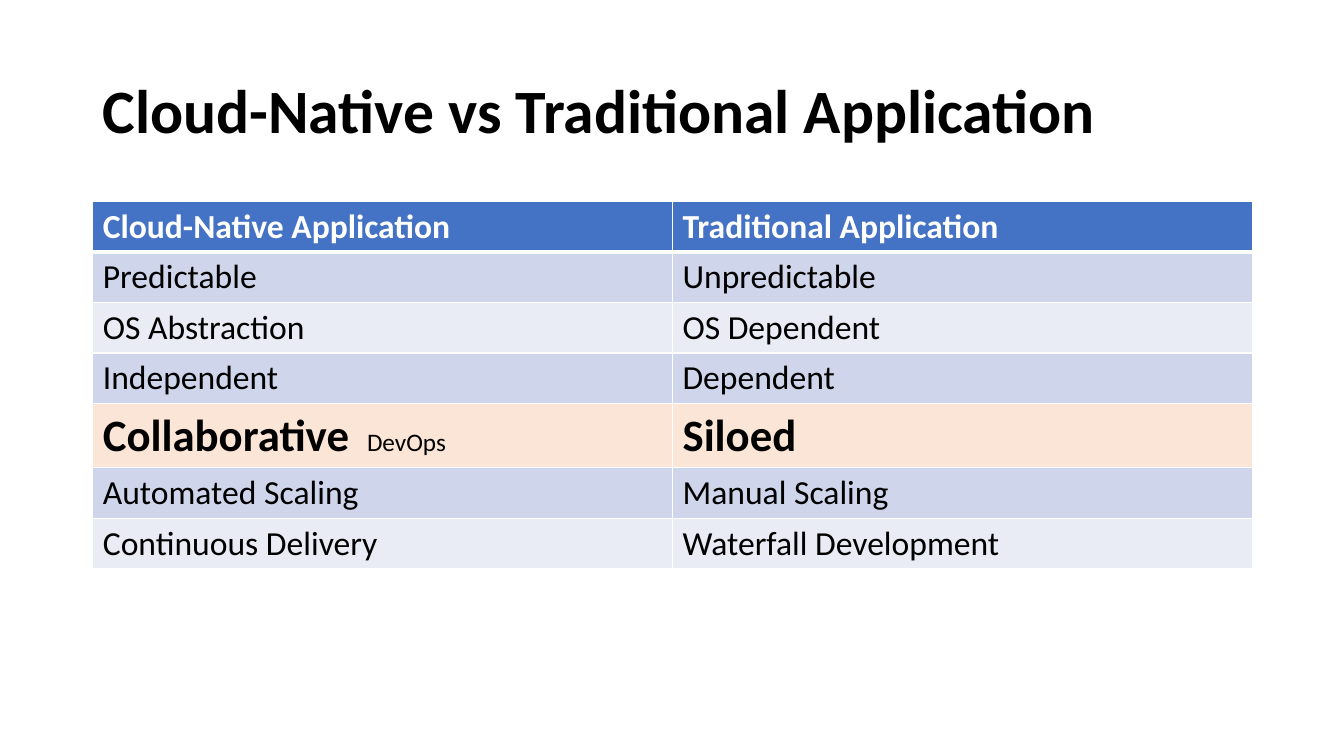
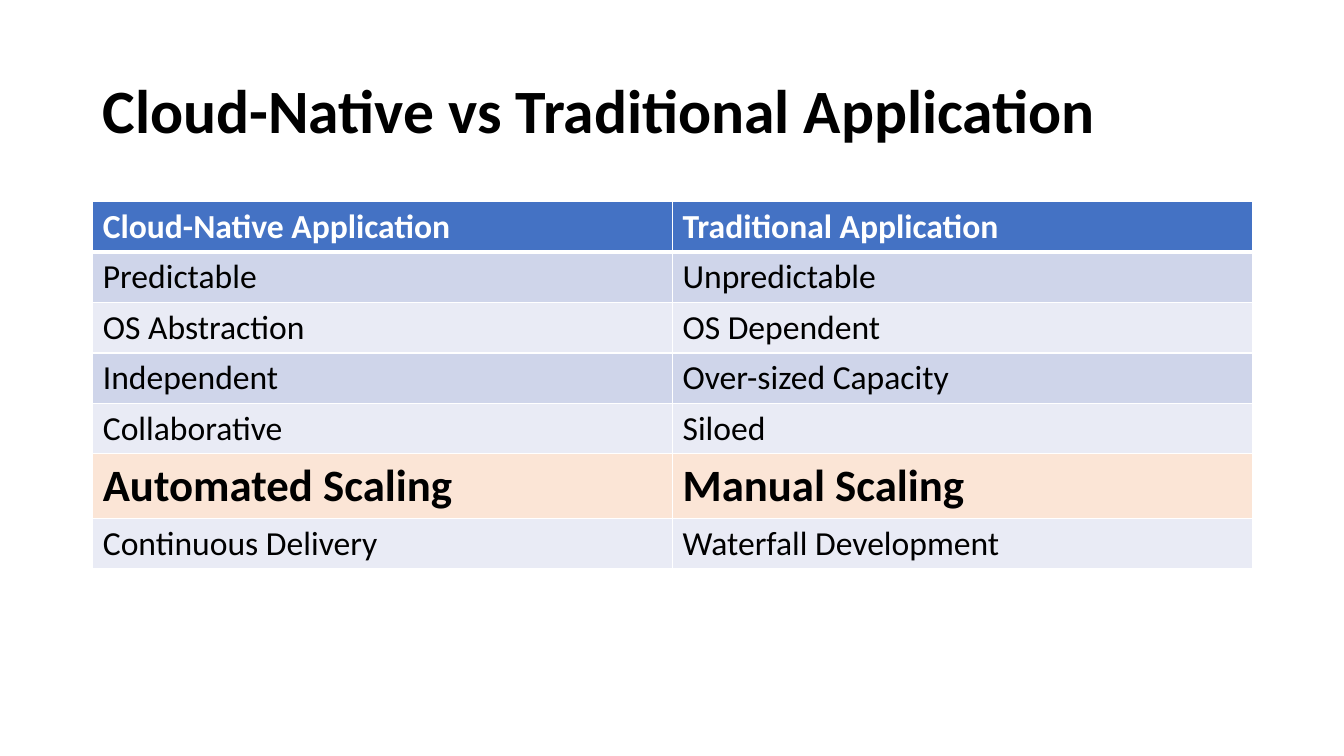
import pptx
import pptx.util
import pptx.dml.color
import pptx.enum.text
import pptx.oxml
import pptx.oxml.ns
from pptx.util import Inches

FONT = "Calibri"
BLACK, WHITE = "000000", "FFFFFF"
HEADER_FILL, HIGHLIGHT_FILL = "4472C4", "FBE5D6"
BAND_FILLS = ("CFD5EA", "E9EBF5")
TITLE = "Cloud-Native vs Traditional Application"
HEADINGS = ("Cloud-Native Application", "Traditional Application")

TITLE_STYLE = {"size": 44, "bold": True, "color": BLACK}
HEADER_STYLE = {"size": 24, "bold": True, "color": WHITE}
BODY_STYLE = {"size": 24, "bold": False, "color": BLACK}
HIGHLIGHT_STYLE = {"size": 32, "bold": True, "color": BLACK}
ASIDE_STYLE = {"size": 18, "bold": False, "color": BLACK}

TITLE_BOX = (0.92, 0.4, 11.5, 1.45)
TABLE_BOX = (0.92, 2, 11.5, 3.64)
HIGHLIGHT_HEIGHT = 0.64
ASIDE_TAB = 2.62

# Each slide: comparison rows, highlighted row, small aside beside its first cell
SLIDES = [
    {"rows": [("Predictable", "Unpredictable"),
              ("OS Abstraction", "OS Dependent"),
              ("Independent", "Dependent"),
              ("Collaborative", "Siloed"),
              ("Automated Scaling", "Manual Scaling"),
              ("Continuous Delivery", "Waterfall Development")],
     "highlight": "Collaborative", "aside": "DevOps"},
    {"rows": [("Predictable", "Unpredictable"),
              ("OS Abstraction", "OS Dependent"),
              ("Independent", "Over-sized Capacity"),
              ("Collaborative", "Siloed"),
              ("Automated Scaling", "Manual Scaling"),
              ("Continuous Delivery", "Waterfall Development")],
     "highlight": "Automated Scaling", "aside": None},
]


def rgb(value):
    return pptx.dml.color.RGBColor.from_string(value)


def add_run(p, text, style):
    r = p.add_run()
    r.text = text
    r.font.color.rgb = rgb(style["color"])
    formats = {"name": FONT, "size": pptx.util.Pt(style["size"]), "bold": style["bold"]}
    for name, value in formats.items():
        setattr(r.font, name, value)


def set_borders(cell, widths):
    """Draw white borders; widths maps L, R, T, B to points."""
    tcPr = cell._tc.get_or_add_tcPr()
    for i, side in enumerate("LRTB"):
        tcPr.insert(i, pptx.oxml.parse_xml(
            f'<a:ln{side} {pptx.oxml.ns.nsdecls("a")} w="{pptx.util.Pt(widths[side])}">'
            f'<a:solidFill><a:srgbClr val="{WHITE}"/></a:solidFill></a:ln{side}>'))


def add_tab_stop(p, position):
    pPr = p._p.get_or_add_pPr()
    pPr.append(pptx.oxml.parse_xml(
        f'<a:tabLst {pptx.oxml.ns.nsdecls("a")}>'
        f'<a:tab pos="{Inches(position)}" algn="l"/></a:tabLst>'))


def add_title(s, box):
    tf = s.shapes.add_textbox(*map(Inches, box)).text_frame
    formats = {"word_wrap": True, "vertical_anchor": pptx.enum.text.MSO_ANCHOR.MIDDLE}
    for name, value in formats.items():
        setattr(tf, name, value)
    tf.paragraphs[0].line_spacing = 0.9
    add_run(tf.paragraphs[0], TITLE, TITLE_STYLE)


def add_comparison(s, box, rows, highlight, aside):
    left, top, width, height = box
    lines = [HEADINGS] + rows
    table = s.shapes.add_table(len(lines), len(HEADINGS), *map(Inches, box)).table
    for column in table.columns:
        column.width = Inches(width / len(HEADINGS))
    row_height = (height - HIGHLIGHT_HEIGHT) / (len(lines) - 1)

    for i, line in enumerate(lines):
        # Row format: header, highlighted or banded
        is_highlight = line[0] == highlight
        if i == 0:
            fill, style = HEADER_FILL, HEADER_STYLE
        elif is_highlight:
            fill, style = HIGHLIGHT_FILL, HIGHLIGHT_STYLE
        else:
            fill, style = BAND_FILLS[(i - 1) % 2], BODY_STYLE
        table.rows[i].height = Inches(HIGHLIGHT_HEIGHT if is_highlight else row_height)
        widths = {"L": 1, "R": 1, "T": 3 if i == 1 else 1, "B": 3 if i == 0 else 1}

        # Cells
        for j, text in enumerate(line):
            cell = table.cell(i, j)
            cell.fill.solid()
            cell.fill.fore_color.rgb = rgb(fill)
            set_borders(cell, widths)
            p = cell.text_frame.paragraphs[0]
            if is_highlight and aside and j == 0:
                add_tab_stop(p, ASIDE_TAB)
                add_run(p, text + "\t", style)
                add_run(p, aside, ASIDE_STYLE)
            else:
                add_run(p, text, style)


def main():
    prs = pptx.Presentation()
    prs.slide_width, prs.slide_height = Inches(13.33), Inches(7.5)
    for content in SLIDES:
        s = prs.slides.add_slide(prs.slide_layouts[6])
        add_title(s, TITLE_BOX)
        add_comparison(s, TABLE_BOX, **content)
    prs.save("out.pptx")


if __name__ == "__main__":
    main()
